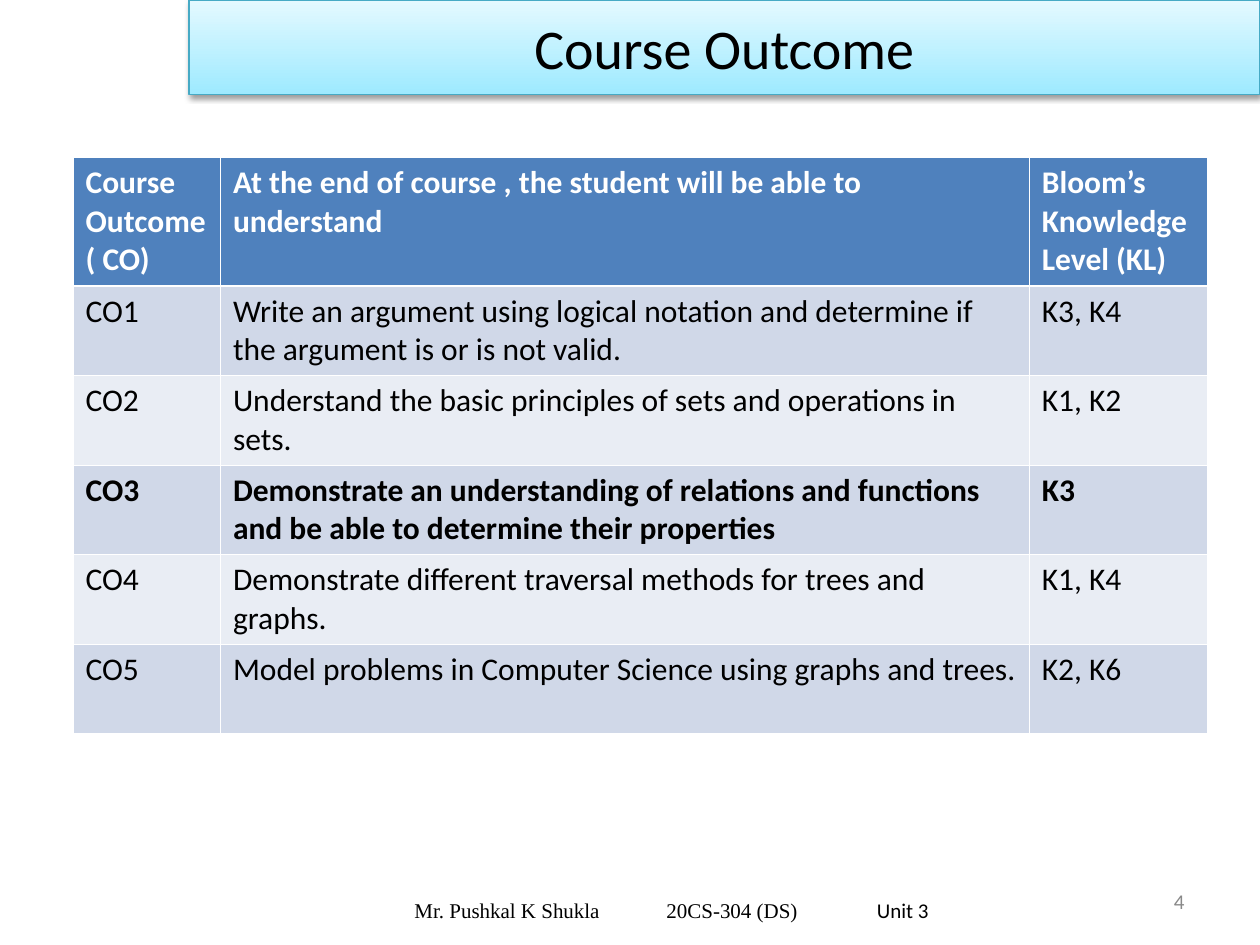
from dataclasses import dataclass

from lxml import etree
from pptx import Presentation
from pptx.dml.color import RGBColor
from pptx.enum.shapes import MSO_SHAPE
from pptx.enum.text import MSO_ANCHOR, PP_ALIGN
from pptx.oxml.ns import qn
from pptx.util import Inches, Pt

RECTANGLE = MSO_SHAPE.RECTANGLE
MIDDLE = MSO_ANCHOR.MIDDLE
LEFT, CENTER, RIGHT = PP_ALIGN.LEFT, PP_ALIGN.CENTER, PP_ALIGN.RIGHT


@dataclass(frozen=True)
class Theme:
    body_font: str = "Calibri"
    footer_font: str = "Times New Roman"
    title_size: int = 32
    table_size: int = 18
    footer_size: int = 12
    ink: str = "000000"
    paper: str = "FFFFFF"
    muted: str = "898989"
    header: str = "4F81BD"
    bands: tuple = ("D0D8E8", "E9EDF4")
    banner: tuple = ("9EEAFF", "E4F9FF")
    banner_line: str = "46AAC5"
    thin_rule: float = 0.45
    thick_rule: float = 1.47


THEME = Theme()
WIDTH, HEIGHT = Inches(10), Inches(7.5)

COLUMN_WIDTHS = (1.17, 6.42, 1.41)
HEADER_HEIGHT, ROW_HEIGHT = 1.02, 0.71
HEADINGS = (
    "Course Outcome ( CO)",
    "At the end of course , the student will be able to understand",
    "Bloom’s Knowledge Level (KL)",
)
OUTCOMES = (
    ("CO1", "Write an argument using logical notation and determine if "
            "the argument is or is not valid.", "K3, K4"),
    ("CO2", "Understand the basic principles of sets and operations in sets.",
     "K1, K2"),
    ("CO3", "Demonstrate an understanding of relations and functions "
            "and be able to determine their properties", "K3"),
    ("CO4", "Demonstrate different traversal methods for trees and graphs.",
     "K1, K4"),
    ("CO5", "Model problems in Computer Science using graphs and trees.",
     "K2, K6"),
)
CURRENT_OUTCOME = "CO3"


def color(value):
    return RGBColor.from_string(value)


def add_run(paragraph, text, size, ink=THEME.ink, font=THEME.body_font, bold=False):
    run = paragraph.add_run()
    run.text = text
    run.font.name = font
    run.font.size = Pt(size)
    run.font.bold = bold
    run.font.color.rgb = color(ink)


def add_text_box(slide, left, top, width, height, alignment):
    """Add an empty text box in inches and return its frame."""
    box = slide.shapes.add_textbox(*map(Inches, (left, top, width, height)))
    frame = box.text_frame
    frame.word_wrap = True
    frame.vertical_anchor = MIDDLE
    frame.paragraphs[0].alignment = alignment
    return frame


def add_tab_stops(paragraph, positions):
    tabs = etree.SubElement(paragraph._p.get_or_add_pPr(), qn("a:tabLst"))
    for position in positions:
        etree.SubElement(tabs, qn("a:tab"), pos=str(Inches(position)), algn="l")


def add_drop_shadow(shape):
    shape.shadow.inherit = False
    effects = shape._element.spPr.find(qn("a:effectLst"))
    shadow = etree.SubElement(
        effects, qn("a:outerShdw"), blurRad=str(Pt(3)), dist=str(Pt(1.6)),
        dir="5400000", rotWithShape="0")
    ink = etree.SubElement(shadow, qn("a:srgbClr"), val=THEME.ink)
    etree.SubElement(ink, qn("a:alpha"), val="38000")


def add_banner(slide, title):
    """Title strip from 15% of the width to the right edge."""
    left = int(WIDTH * 0.15)
    banner = slide.shapes.add_shape(
        RECTANGLE, left, 0, WIDTH - left, int(HEIGHT * 0.1))
    banner.fill.gradient()
    banner.fill.gradient_angle = 90
    for stop, value in zip(banner.fill.gradient_stops, THEME.banner):
        stop.color.rgb = color(value)
    banner.line.color.rgb = color(THEME.banner_line)
    banner.line.width = Pt(0.75)
    add_drop_shadow(banner)
    banner.text_frame.vertical_anchor = MIDDLE
    paragraph = banner.text_frame.paragraphs[0]
    paragraph.alignment = CENTER
    add_run(paragraph, title, THEME.title_size)


def set_borders(cell, top, bottom):
    """Draw white rules round a cell; top and bottom are in points."""
    properties = cell._tc.get_or_add_tcPr()
    thin = THEME.thin_rule
    for side, width in (("L", thin), ("R", thin), ("T", top), ("B", bottom)):
        line = etree.SubElement(properties, qn(f"a:ln{side}"), w=str(Pt(width)))
        fill = etree.SubElement(line, qn("a:solidFill"))
        etree.SubElement(fill, qn("a:srgbClr"), val=THEME.paper)


def add_outcome_table(slide):
    rows = (HEADINGS, *OUTCOMES)
    heights = [HEADER_HEIGHT] + [ROW_HEIGHT] * len(OUTCOMES)
    table = slide.shapes.add_table(
        len(rows), len(COLUMN_WIDTHS), Inches(0.58), Inches(1.25),
        Inches(sum(COLUMN_WIDTHS)), Inches(sum(heights))).table
    table.horz_banding = False
    for column, width in zip(table.columns, COLUMN_WIDTHS):
        column.width = Inches(width)

    for index, (row, texts) in enumerate(zip(table.rows, rows)):
        row.height = Inches(heights[index])
        is_header = index == 0
        fill = THEME.header if is_header else THEME.bands[(index - 1) % 2]
        ink = THEME.paper if is_header else THEME.ink
        bold = is_header or texts[0] == CURRENT_OUTCOME
        top = THEME.thick_rule if index == 1 else THEME.thin_rule
        bottom = THEME.thick_rule if is_header else THEME.thin_rule
        for cell, text in zip(row.cells, texts):
            set_borders(cell, top, bottom)
            cell.fill.solid()
            cell.fill.fore_color.rgb = color(fill)
            add_run(cell.text_frame.paragraphs[0], text, THEME.table_size,
                    ink, bold=bold)


def add_footer(slide):
    # Page number
    number = add_text_box(slide, 7.17, 6.95, 2.33, 0.4, RIGHT)
    add_run(number.paragraphs[0], "4", THEME.footer_size, THEME.muted)

    # Lecturer, course code and unit on tab stops
    credits = add_text_box(slide, 2.58, 7.02, 5.5, 0.4, LEFT)
    credits.margin_left = Inches(0.71)
    paragraph = credits.paragraphs[0]
    add_tab_stops(paragraph, (2, 3.67))
    add_run(paragraph, "Mr. Pushkal K Shukla\t20CS-304 (DS)\t",
            THEME.footer_size, font=THEME.footer_font)
    add_run(paragraph, "Unit 3", THEME.footer_size)


def main():
    presentation = Presentation()
    presentation.slide_width, presentation.slide_height = WIDTH, HEIGHT
    slide = presentation.slides.add_slide(presentation.slide_layouts[6])
    add_outcome_table(slide)
    add_banner(slide, "Course Outcome")
    add_footer(slide)
    presentation.save("out.pptx")


if __name__ == "__main__":
    main()
